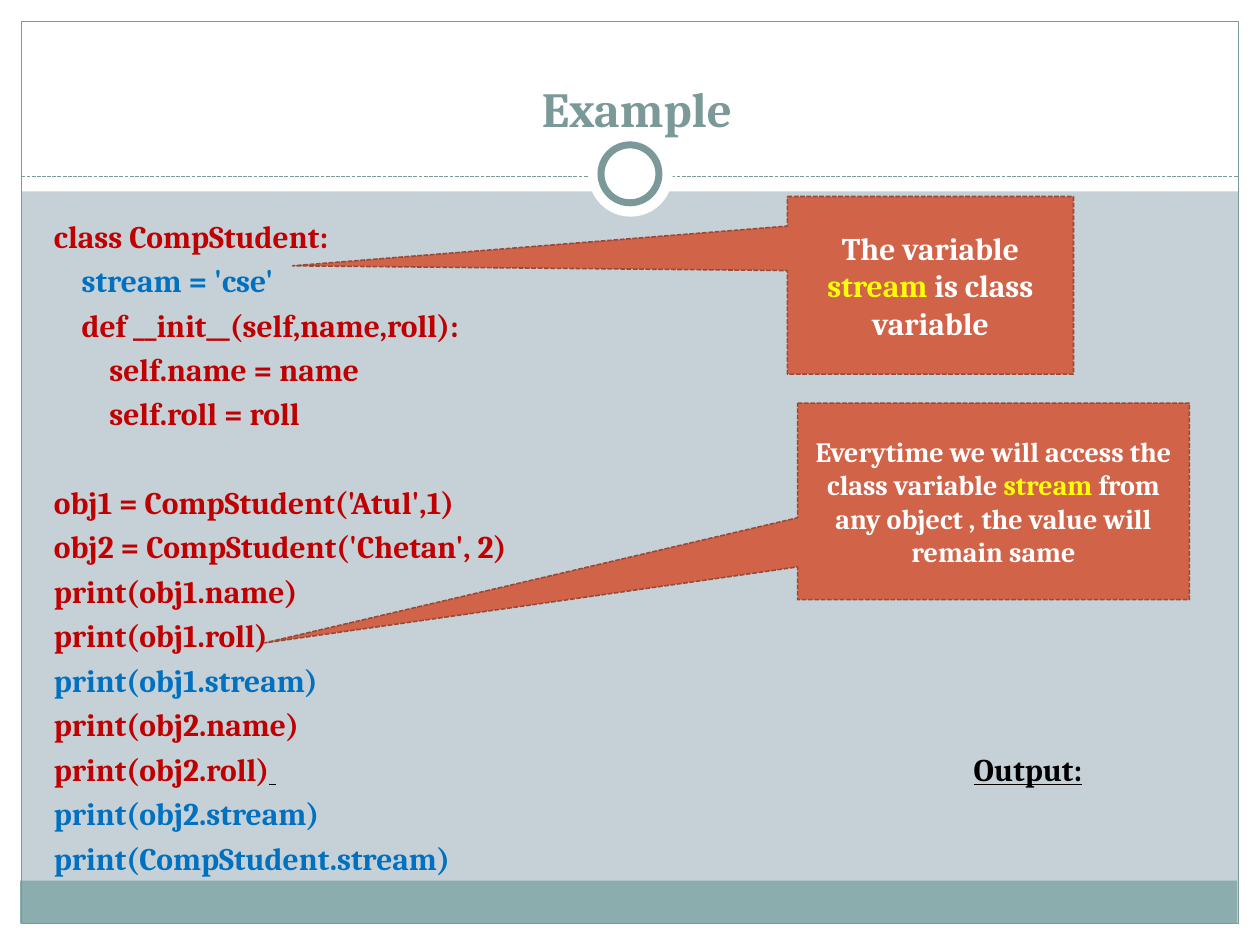
from lxml import etree
from pptx import Presentation
from pptx import util as u
from pptx.dml import color
from pptx.enum import dml, shapes, text
from pptx.oxml import ns

WHITE, TEAL, RED, BLUE, YELLOW, BLACK = "FFFFFF", "7C999A", "C00000", "0070C0", "FFFF00", "000000"
LEVEL_INDENT = 0.22
LINE_GAP = 3.8
BLANK_LINE = 25.2

CODE = [
    (0, "class CompStudent:", RED),
    (1, "stream = 'cse'", BLUE),
    (1, "def __init__(self,name,roll):", RED),
    (2, "self.name = name", RED),
    (2, "self.roll = roll", RED),
    (0, "obj1 = CompStudent('Atul',1)", RED),
    (0, "obj2 = CompStudent('Chetan', 2)", RED),
    (0, "print(obj1.name)", RED),
    (0, "print(obj1.roll)", RED),
    (0, "print(obj1.stream)", BLUE),
    (0, "print(obj2.name)", RED),
    (0, "print(obj2.roll)", RED),
    (0, "print(obj2.stream)", BLUE),
    (0, "print(CompStudent.stream)", BLUE),
]
AFTER_BLANK = "obj1 = CompStudent('Atul',1)"
OUTPUT_LINE = "print(obj2.roll)"


def rgb(code):
    return color.RGBColor.from_string(code)


def apply_format(target, values):
    for name, value in values.items():
        setattr(target, name, value)


def box(at):
    return [u.Inches(value) for value in at]


def style_line(line, hue, width, dashed=False):
    line.color.rgb = rgb(hue)
    line.width = u.Pt(width)
    if dashed:
        line.dash_style = dml.MSO_LINE.SQUARE_DOT


def add_panel(slide, kind, at, fill=None, outline=None):
    panel = slide.shapes.add_shape(kind, *box(at))
    panel.shadow.inherit = False
    if fill:
        panel.fill.solid()
        panel.fill.fore_color.rgb = rgb(fill)
    else:
        panel.fill.background()
    if outline:
        style_line(panel.line, *outline)
    else:
        panel.line.fill.background()
    return panel


def add_divider(slide, left, right, y):
    divider = slide.shapes.add_connector(shapes.MSO_CONNECTOR.STRAIGHT, *box((left, y, right, y)))
    style_line(divider.line, TEAL, 0.75, True)
    etree.SubElement(divider._element.spPr, ns.qn("a:effectLst"))


def add_run(paragraph, words, size, hue, underline=False):
    run = paragraph.add_run()
    run.text = words
    apply_format(run.font, {"name": "Cambria", "size": u.Pt(size), "bold": True, "underline": underline})
    run.font.color.rgb = rgb(hue)


def add_text_frame(slide, at, anchor):
    frame = slide.shapes.add_textbox(*box(at)).text_frame
    apply_format(frame, {"word_wrap": True, "vertical_anchor": anchor})
    return frame


def add_title(slide):
    frame = add_text_frame(slide, (0.39, 0.31, 9.33, 0.83), text.MSO_ANCHOR.BOTTOM)
    heading = frame.paragraphs[0]
    heading.alignment = text.PP_ALIGN.CENTER
    add_run(heading, "Example", 28, TEAL)


def add_output_label(paragraph):
    add_run(paragraph, " ", 18, BLACK, True)
    add_run(paragraph, "\t", 18, BLACK)
    add_run(paragraph, "Output:", 18, BLACK, True)
    stops = etree.SubElement(paragraph._p.get_or_add_pPr(), ns.qn("a:tabLst"))
    etree.SubElement(stops, ns.qn("a:tab"), pos=str(u.Inches(7.3)), algn="l")


def add_code(slide):
    frame = add_text_frame(slide, (0.33, 1.67, 9.3, 5.31), text.MSO_ANCHOR.TOP)
    for number, (level, statement, hue) in enumerate(CODE):
        line = frame.add_paragraph() if number else frame.paragraphs[0]
        line.space_before = u.Pt(LINE_GAP + (BLANK_LINE if statement == AFTER_BLANK else 0))
        line._p.get_or_add_pPr().set("marL", str(u.Inches(level * LEVEL_INDENT)))
        add_run(line, statement, 18, hue)
        if statement == OUTPUT_LINE:
            add_output_label(line)


def add_callout(slide, at, pointer, size, parts):
    callout = add_panel(slide, shapes.MSO_SHAPE.RECTANGULAR_CALLOUT, at, "D16349", ("9B4936", 0.9, True))
    for index, offset in enumerate(pointer):
        callout.adjustments[index] = offset
    frame = callout.text_frame
    apply_format(frame, {"word_wrap": True, "vertical_anchor": text.MSO_ANCHOR.MIDDLE})
    remark = frame.paragraphs[0]
    remark.alignment = text.PP_ALIGN.CENTER
    for words, hue in parts:
        add_run(remark, words, size, hue)


def add_backdrop(slide):
    slide.background.fill.solid()
    slide.background.fill.fore_color.rgb = rgb("C5D1D7")
    rectangle, oval = shapes.MSO_SHAPE.RECTANGLE, shapes.MSO_SHAPE.OVAL
    for margin in ((0, 7.33, 10, 0.17), (0, 0, 10, 1.52), (0, 0, 0.17, 7.5), (9.83, 0, 0.17, 7.5)):
        add_panel(slide, rectangle, margin, WHITE)
    add_panel(slide, rectangle, (0.16, 6.99, 9.66, 0.34), "8CADAE")
    add_panel(slide, rectangle, (0.17, 0.17, 9.66, 7.16), outline=(TEAL, 0.75))
    add_divider(slide, 0.17, 9.83, 1.4)
    add_panel(slide, oval, (4.67, 1.05, 0.67, 0.67), WHITE)
    add_panel(slide, oval, (4.77, 1.15, 0.46, 0.46), WHITE, (TEAL, 4))


def main():
    deck = Presentation()
    apply_format(deck, {"slide_width": u.Inches(10), "slide_height": u.Inches(7.5)})
    slide = deck.slides.add_slide(deck.slide_layouts[6])
    add_backdrop(slide)
    add_title(slide)
    add_code(slide)
    add_callout(slide, (6.25, 1.56, 2.27, 1.41), (-2.23, -0.11), 18, [
        ("The variable ", WHITE), ("stream", YELLOW), (" is class variable", WHITE)])
    add_callout(slide, (6.33, 3.2, 3.11, 1.56), (-1.86, 0.72), 16, [
        ("Everytime we will access the class variable ", WHITE), ("stream ", YELLOW),
        ("from any object , the value will remain same", WHITE)])
    deck.save("out.pptx")


if __name__ == "__main__":
    main()
